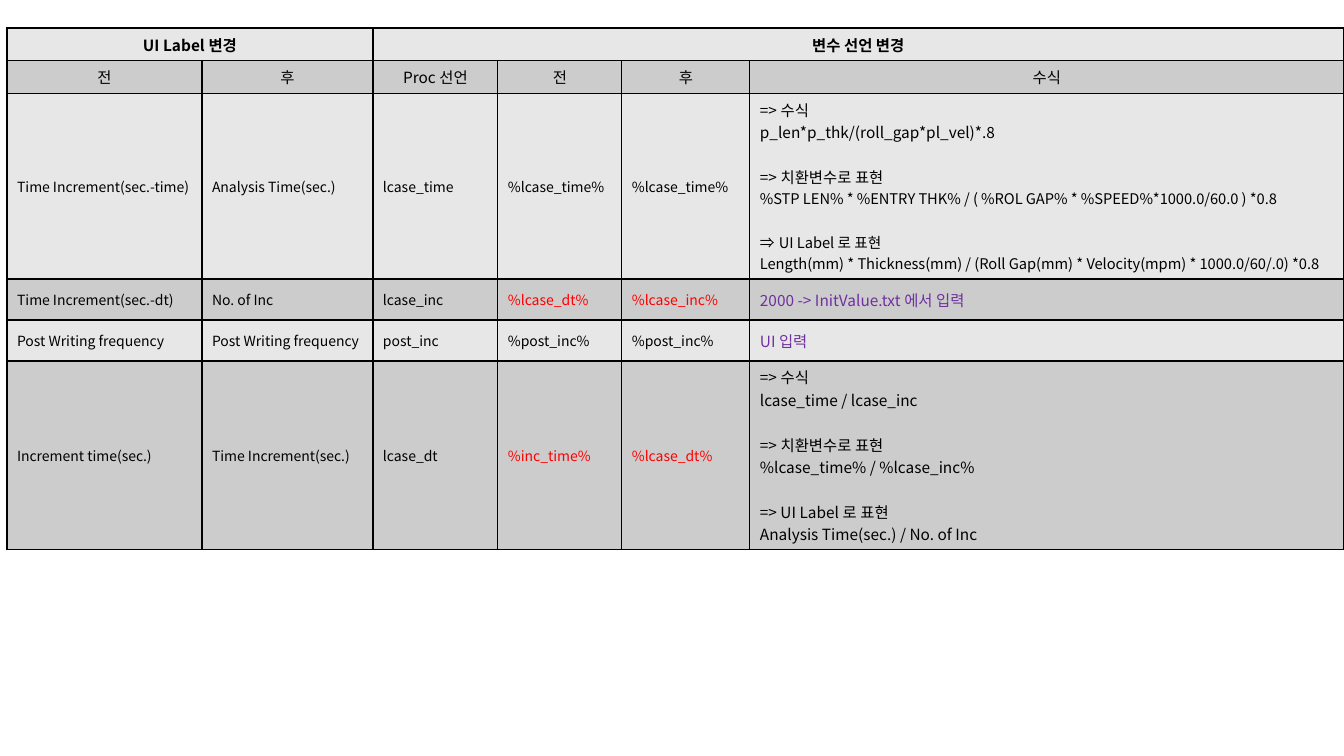
import pptx
import pptx.util
import pptx.dml.color
import pptx.enum.text
import pptx.oxml.ns
from dataclasses import dataclass
from lxml import etree

EMU_PER_PIXEL = 914400 / 100.8
Align = pptx.enum.text.PP_ALIGN


@dataclass(frozen=True)
class Theme:
    font: str = "Noto Sans CJK KR"
    ink: str = "000000"
    changed: str = "FF0000"
    user_input: str = "7030A0"
    bands: tuple = ("E7E7E7", "CCCCCC")
    heading: float = 11
    label: float = 10
    formula: float = 11
    long_formula: float = 10.5
    border: float = 1
    block_gap: float = 16


@dataclass(frozen=True)
class Line:
    text: str
    size: float
    color: str = Theme.ink
    bold: bool = False
    align: Align = Align.LEFT
    gap: float = 0
    bullet: str = ""


def px(length):
    return pptx.util.Emu(round(length * EMU_PER_PIXEL))


def rgb(color):
    return pptx.dml.color.RGBColor.from_string(color)


def add_xml(parent, tag, **attributes):
    return etree.SubElement(parent, pptx.oxml.ns.qn(tag), **attributes)


class SlideBuilder:
    def __init__(self, slide, theme):
        self.slide = slide
        self.theme = theme

    def table(self, left, top, widths, heights):
        frame = self.slide.shapes.add_table(
            len(heights), len(widths), px(left), px(top), px(sum(widths)), px(sum(heights)))
        table = frame.table
        table.first_row = table.horz_banding = False
        for column, width in zip(table.columns, widths):
            column.width = px(width)
        for row, height in zip(table.rows, heights):
            row.height = px(height)
        for index, row in enumerate(table.rows):
            for cell in row.cells:
                self.border(cell)
                cell.fill.solid()
                cell.fill.fore_color.rgb = rgb(self.theme.bands[index % 2])
                cell.vertical_anchor = pptx.enum.text.MSO_ANCHOR.MIDDLE
        return table

    def border(self, cell):
        properties = cell._tc.get_or_add_tcPr()
        width = str(pptx.util.Pt(self.theme.border))
        for side in ("a:lnL", "a:lnR", "a:lnT", "a:lnB"):
            edge = add_xml(properties, side, w=width)
            add_xml(add_xml(edge, "a:solidFill"), "a:srgbClr", val=self.theme.ink)

    def cell_text(self, cell, lines):
        frame = cell.text_frame
        frame.text = "\n".join(line.text for line in lines)
        for paragraph, line in zip(frame.paragraphs, lines):
            paragraph.alignment = line.align
            if line.gap:
                paragraph.space_before = pptx.util.Pt(line.gap)
            if line.bullet:
                self.bullet(paragraph, line.bullet)
            for run in paragraph.runs:
                run.font.size = pptx.util.Pt(line.size)
                run.font.bold = line.bold
                run.font.color.rgb = rgb(line.color)
                run.font.name = self.theme.font
                add_xml(run._r.get_or_add_rPr(), "a:ea", typeface=self.theme.font)

    def bullet(self, paragraph, mark):
        properties = paragraph._p.get_or_add_pPr()
        indent = px(19)
        properties.set("marL", str(indent))
        properties.set("indent", str(-indent))
        add_xml(properties, "a:buFont", typeface=self.theme.font)
        add_xml(properties, "a:buChar", char=mark)


theme = Theme()
presentation = pptx.Presentation()
presentation.slide_width, presentation.slide_height = px(1344), px(756)
builder = SlideBuilder(presentation.slides.add_slide(presentation.slide_layouts[6]), theme)
changes = builder.table(7, 28, widths=(195, 171, 125, 124, 128, 594),
                        heights=(32, 33, 184, 41, 41, 188))

# Group headings
for title, first, last in (("UI Label 변경", 0, 1), ("변수 선언 변경", 2, 5)):
    group = changes.cell(0, first)
    group.merge(changes.cell(0, last))
    builder.cell_text(group, [Line(title, theme.heading, bold=True, align=Align.CENTER)])

# Column headings
for column, title in enumerate(("전", "후", "Proc 선언", "전", "후", "수식")):
    builder.cell_text(changes.cell(1, column), [Line(title, theme.heading, align=Align.CENTER)])

# Formulas of each variable
big, small, gap = theme.formula, theme.long_formula, theme.block_gap
time_formula = [
    Line("=> 수식", big),
    Line("p_len*p_thk/(roll_gap*pl_vel)*.8", big),
    Line("=> 치환변수로 표현", big, gap=gap),
    Line("%STP LEN% * %ENTRY THK% / ( %ROL GAP% * %SPEED%*1000.0/60.0 ) *0.8", small),
    Line("UI Label 로 표현", small, gap=gap, bullet="⇒"),
    Line("Length(mm) * Thickness(mm) / (Roll Gap(mm) * Velocity(mpm) * 1000.0/60/.0) *0.8", small),
]
inc_source = [Line("2000 -> InitValue.txt 에서 입력", big, theme.user_input)]
post_source = [Line("UI 입력", big, theme.user_input)]
dt_formula = [
    Line("=> 수식", big),
    Line("lcase_time / lcase_inc", big),
    Line("=> 치환변수로 표현", big, gap=gap),
    Line("%lcase_time% / %lcase_inc%", big),
    Line("=> UI Label 로 표현", big, gap=gap),
    Line("Analysis Time(sec.) / No. of Inc", big),
]

# Variable rows: labels before and after, declaration, variables before and after
variables = (
    (("Time Increment(sec.-time)", "Analysis Time(sec.)", "lcase_time",
      "%lcase_time%", "%lcase_time%"), time_formula),
    (("Time Increment(sec.-dt)", "No. of Inc", "lcase_inc",
      "%lcase_dt%", "%lcase_inc%"), inc_source),
    (("Post Writing frequency", "Post Writing frequency", "post_inc",
      "%post_inc%", "%post_inc%"), post_source),
    (("Increment time(sec.)", "Time Increment(sec.)", "lcase_dt",
      "%inc_time%", "%lcase_dt%"), dt_formula),
)
for row, (labels, formula) in enumerate(variables, start=2):
    renamed = labels[3] != labels[4]
    for column, label in enumerate(labels):
        color = theme.changed if renamed and column >= 3 else theme.ink
        builder.cell_text(changes.cell(row, column), [Line(label, theme.label, color)])
    builder.cell_text(changes.cell(row, 5), formula)

presentation.save("out.pptx")
